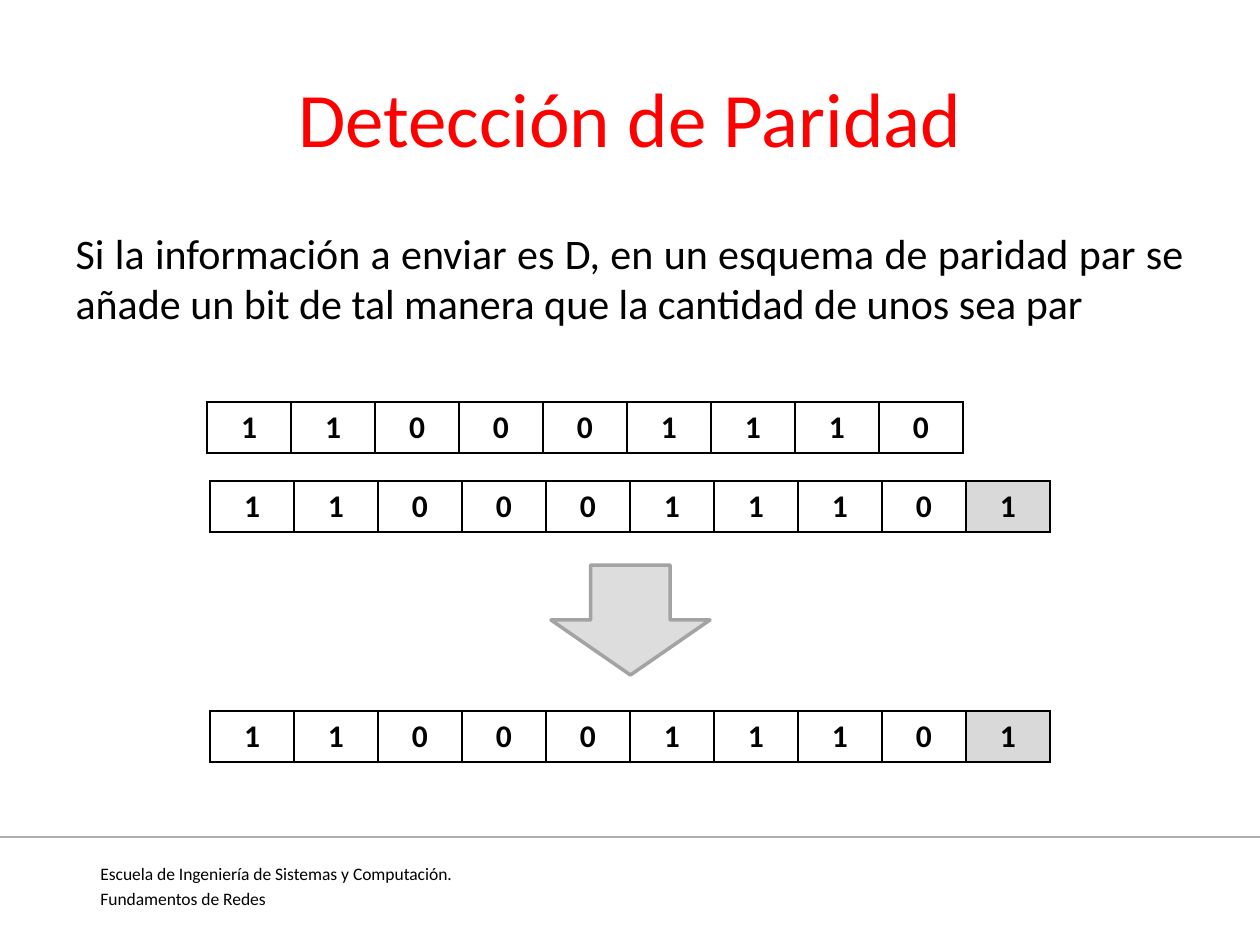
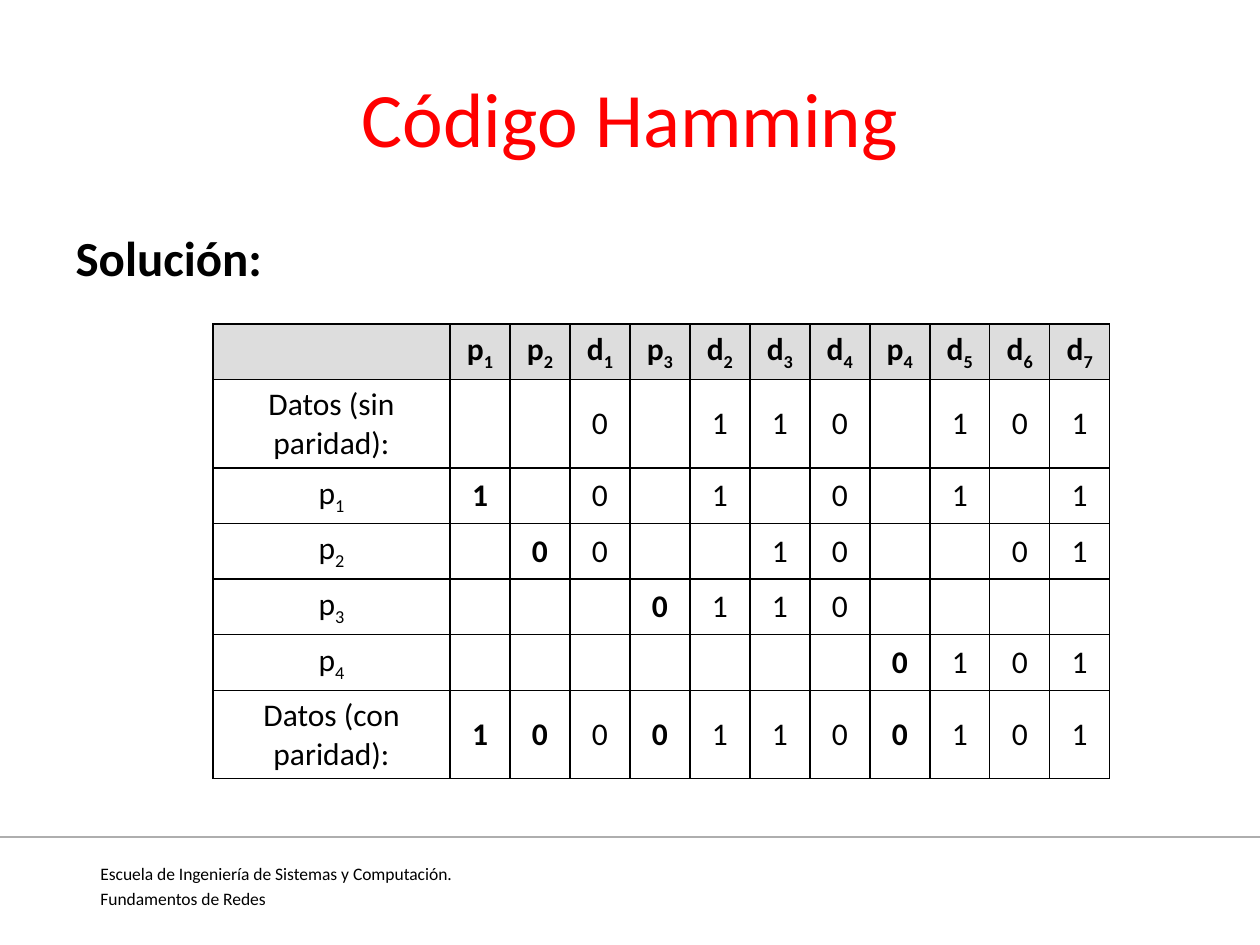
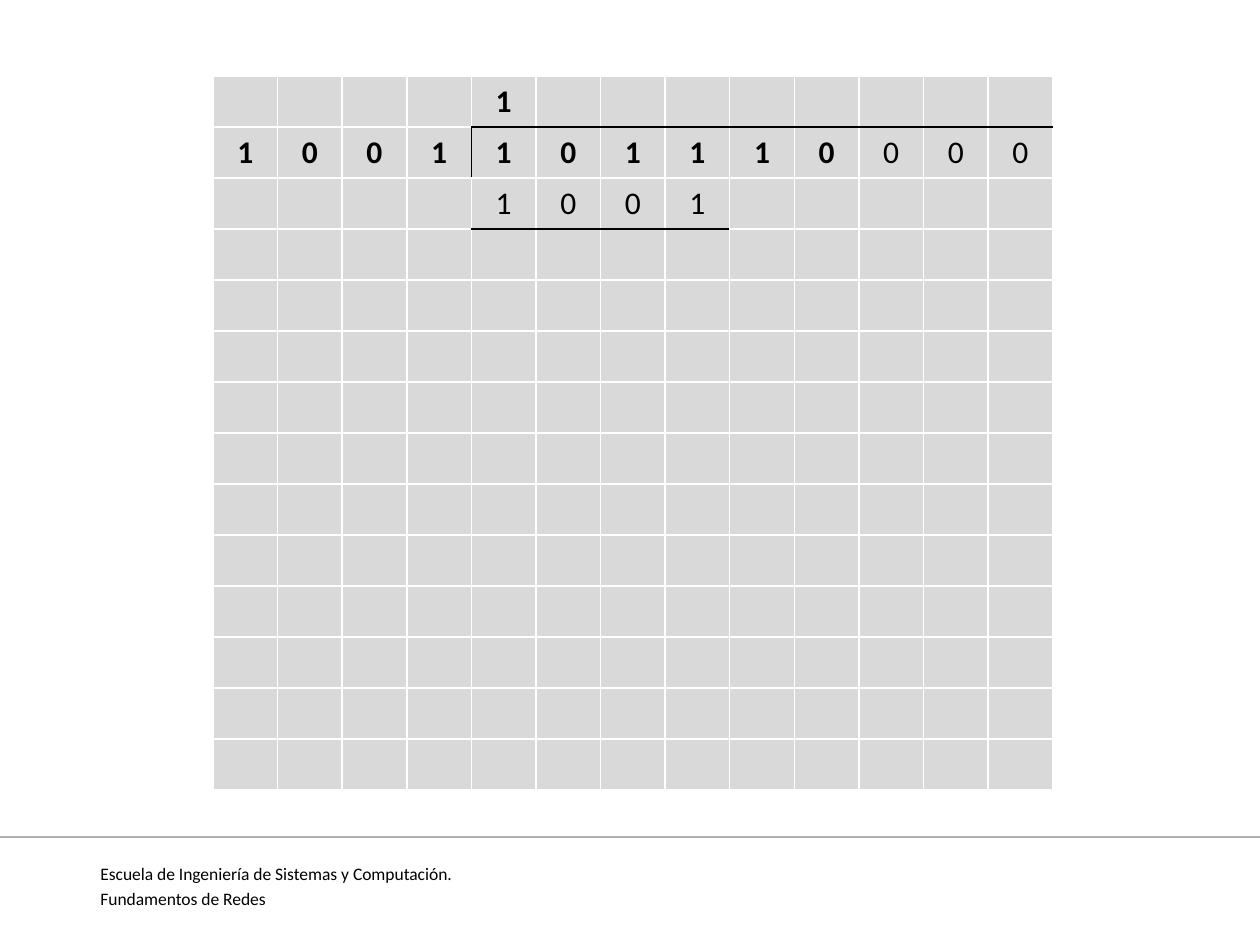
from dataclasses import dataclass

from lxml import etree
from pptx import Presentation
from pptx import util as u
from pptx.dml.color import RGBColor
from pptx.enum import shapes, text
from pptx.oxml.ns import qn

PX_PER_INCH = 126
FONT = "Calibri"
COLORS = {
    "title": "FF0000",
    "text": "000000",
    "white": "FFFFFF",
    "shade": "D9D9D9",
    "header": "DDDDDD",
    "arrow_line": "A3A3A3",
    "footer_line": "AEAEAE",
}
FOOTER = ("Escuela de Ingeniería de Sistemas y Computación.", "Fundamentos de Redes")
SIDES = ("lnL", "lnR", "lnT", "lnB")

# Cells are separated by "|"; "*" marks bold and "_" starts a subscript.
DATA_BITS = "*1|*1|*0|*0|*0|*1|*1|*1|*0|"
PARITY_BITS = DATA_BITS + "*1"
HAMMING_ROWS = (
    "|*p_1|*p_2|*d_1|*p_3|*d_2|*d_3|*d_4|*p_4|*d_5|*d_6|*d_7",
    "Datos (sin paridad):|||0||1|1|0||1|0|1",
    "p_1|*1||0||1||0||1||1",
    "p_2||*0|0|||1|0|||0|1",
    "p_3||||*0|1|1|0||||",
    "p_4||||||||*0|1|0|1",
    "Datos (con paridad):|*1|*0|0|*0|1|1|0|*0|1|0|1",
)
DIVISION_COLUMNS = 13
DIVISION_ROWS = (
    "||||*1||||||||",
    "*1|*0|*0|*1|*1|*0|*1|*1|*1|*0|0|0|0",
    "||||1|0|0|1|||||",
) + ("|" * (DIVISION_COLUMNS - 1),) * 11


@dataclass(frozen=True)
class Grid:
    left: int
    top: int
    width: int
    rows: tuple[str, ...]
    row_heights: tuple[int, ...]
    label_width: int = 0
    border: str = "text"
    fill: str | None = None
    anchor: text.MSO_ANCHOR = text.MSO_ANCHOR.TOP


def px(length: float) -> int:
    return round(length * u.Inches(1) / PX_PER_INCH)


def rgb(color: str) -> RGBColor:
    return RGBColor.from_string(COLORS[color])


def style(paragraph, size: int, color: str = "text", bold: bool = False,
          align=text.PP_ALIGN.JUSTIFY) -> None:
    paragraph.alignment = align
    font = paragraph.font
    font.name, font.size, font.bold = FONT, u.Pt(size), bold
    font.color.rgb = rgb(color)


def place(shape, left: int, top: int, width: int, height: int) -> None:
    shape.left, shape.top = px(left), px(top)
    shape.width, shape.height = px(width), px(height)


def add_footer(slide) -> None:
    box = slide.shapes.add_textbox(px(88), px(857), px(1131), px(49))
    frame = box.text_frame
    frame.word_wrap = True
    frame.text = "\n".join(FOOTER)
    for index, paragraph in enumerate(frame.paragraphs):
        paragraph.space_before = u.Pt(2 if index else 0)
        style(paragraph, 10)
    line = slide.shapes.add_connector(
        shapes.MSO_CONNECTOR.STRAIGHT, 0, px(837), px(1260), px(837))
    line.line.color.rgb = rgb("footer_line")
    line.line.width = u.Pt(0.75)
    etree.SubElement(line._element.spPr, qn("a:effectLst"))


def add_slide(presentation, layout: int):
    slide = presentation.slides.add_slide(presentation.slide_layouts[layout])
    add_footer(slide)
    return slide


def add_content_slide(presentation, title: str, body: str, body_size: int,
                      body_bold: bool = False):
    slide = add_slide(presentation, 1)
    heading, content = slide.placeholders
    place(heading, 63, 38, 1134, 158)
    heading.text_frame.text = title
    style(heading.text_frame.paragraphs[0], 44, "title", align=text.PP_ALIGN.CENTER)

    place(content, 63, 221, 1134, 624)
    content.text_frame.text = body
    paragraph = content.text_frame.paragraphs[0]
    paragraph.space_before = u.Pt(0)
    properties = paragraph._p.get_or_add_pPr()
    properties.set("marL", "0")
    properties.set("indent", "0")
    etree.SubElement(properties, qn("a:buNone"))
    style(paragraph, body_size, bold=body_bold)
    return slide


def add_borders(cell, color: str) -> None:
    properties = cell._tc.get_or_add_tcPr()
    for index, side in enumerate(SIDES):
        line = etree.Element(qn(f"a:{side}"), w=str(u.Pt(1)))
        solid = etree.SubElement(line, qn("a:solidFill"))
        etree.SubElement(solid, qn("a:srgbClr"), val=COLORS[color])
        properties.insert(index, line)


def recolor_borders(cell, color: str, *sides: str) -> None:
    for side in sides:
        line = cell._tc.tcPr.find(qn(f"a:{side}"))
        line.find(".//" + qn("a:srgbClr")).set("val", COLORS[color])


def fill_cell(cell, color: str) -> None:
    cell.fill.solid()
    cell.fill.fore_color.rgb = rgb(color)


def write_cell(cell, content: str) -> None:
    paragraph = cell.text_frame.paragraphs[0]
    style(paragraph, 18, bold=content.startswith("*"), align=text.PP_ALIGN.CENTER)
    base, _, subscript = content.removeprefix("*").partition("_")
    if base:
        paragraph.add_run().text = base
    if subscript:
        run = paragraph.add_run()
        run.text = subscript
        run._r.get_or_add_rPr().set("baseline", "-25000")


def add_grid(slide, grid: Grid):
    rows = [row.split("|") for row in grid.rows]
    column_count = len(rows[0])
    table = slide.shapes.add_table(
        len(rows), column_count, px(grid.left), px(grid.top),
        px(grid.width), px(sum(grid.row_heights))).table
    table.first_row = table.horz_banding = False

    equal_columns = list(table.columns)
    if grid.label_width:
        equal_columns.pop(0).width = px(grid.label_width)
    for column in equal_columns:
        column.width = px((grid.width - grid.label_width) / len(equal_columns))
    for row, height in zip(table.rows, grid.row_heights):
        row.height = px(height)

    for row, contents in zip(table.rows, rows):
        for cell, content in zip(row.cells, contents):
            cell.vertical_anchor = grid.anchor
            write_cell(cell, content)
            add_borders(cell, grid.border)
            if grid.fill:
                fill_cell(cell, grid.fill)
            else:
                cell.fill.background()
    return table


def draw_rule_below(table, row: int, columns: range) -> None:
    for column in columns:
        recolor_borders(table.cell(row, column), "text", "lnB")
        recolor_borders(table.cell(row + 1, column), "text", "lnT")


def build_parity(presentation) -> None:
    slide = add_content_slide(
        presentation, "Detección de Paridad",
        "Si la información a enviar es D, en un esquema de paridad par se "
        "añade un bit de tal manera que la cantidad de unos sea par", 24)
    data = add_grid(slide, Grid(207, 402, 840, (DATA_BITS,), (51,)))
    recolor_borders(data.cell(0, 9), "white", "lnT", "lnR", "lnB")
    for top in (481, 711):
        sent = add_grid(slide, Grid(210, top, 840, (PARITY_BITS,), (51,)))
        fill_cell(sent.cell(0, 9), "shade")

    arrow = slide.shapes.add_shape(
        shapes.MSO_SHAPE.DOWN_ARROW, px(551), px(565), px(159), px(110))
    arrow.shadow.inherit = False
    arrow.fill.solid()
    arrow.fill.fore_color.rgb = rgb("header")
    arrow.line.color.rgb = rgb("arrow_line")
    arrow.line.width = u.Pt(2)


def build_hamming(presentation) -> None:
    slide = add_content_slide(presentation, "Código Hamming", "Solución:", 28, True)
    table = add_grid(slide, Grid(
        213, 324, 897, HAMMING_ROWS, (52, 87, 52, 52, 52, 52, 87),
        label_width=237, anchor=text.MSO_ANCHOR.MIDDLE))
    for cell in table.rows[0].cells:
        fill_cell(cell, "header")


def build_division(presentation) -> None:
    slide = add_slide(presentation, 6)
    table = add_grid(slide, Grid(
        213, 76, 840, DIVISION_ROWS, (51,) * len(DIVISION_ROWS),
        border="white", fill="shade"))
    draw_rule_below(table, 0, range(4, DIVISION_COLUMNS))
    draw_rule_below(table, 2, range(4, 8))
    recolor_borders(table.cell(1, 3), "text", "lnR")
    recolor_borders(table.cell(1, 4), "text", "lnL")


def main() -> None:
    presentation = Presentation()
    presentation.slide_width, presentation.slide_height = px(1260), px(945)
    build_parity(presentation)
    build_hamming(presentation)
    build_division(presentation)
    presentation.save("out.pptx")


if __name__ == "__main__":
    main()
